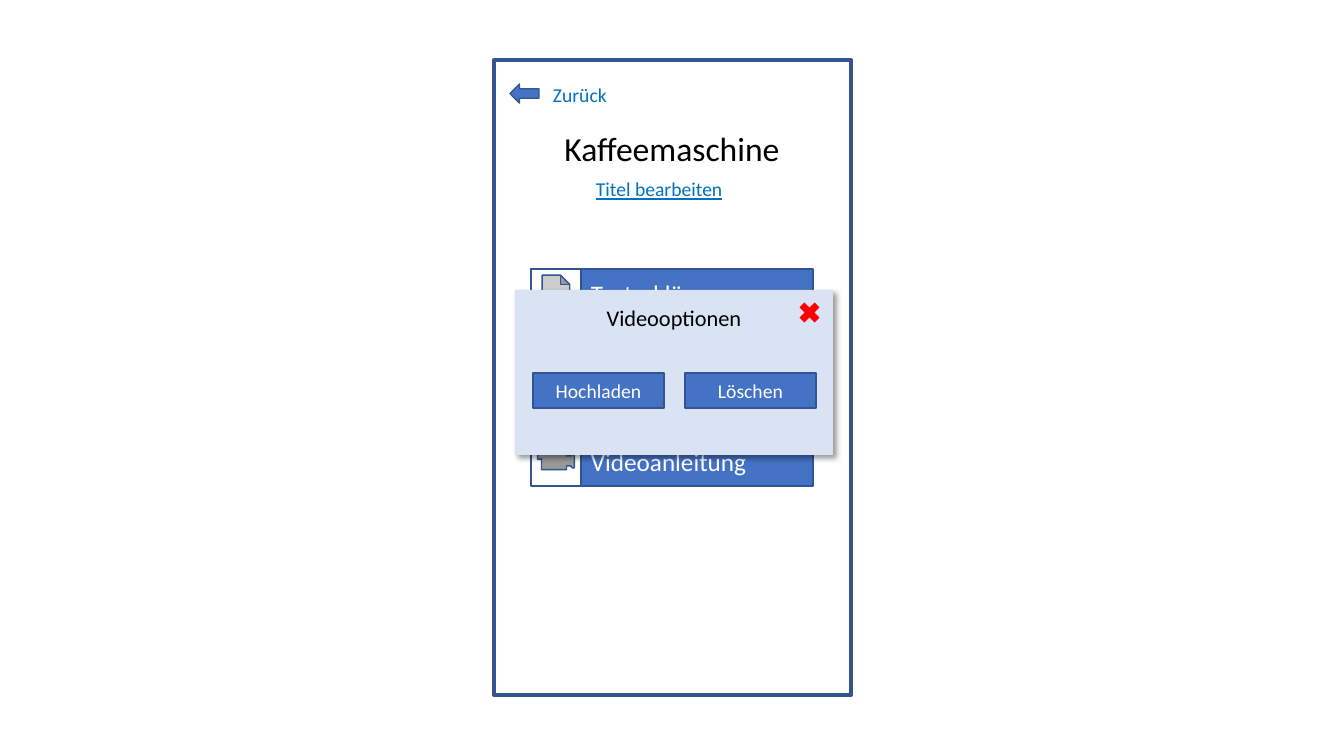
from lxml import etree
from pptx import Presentation
from pptx.dml.color import RGBColor
from pptx.enum.shapes import MSO_SHAPE
from pptx.enum.text import MSO_ANCHOR, PP_ALIGN
from pptx.oxml.ns import qn
from pptx.util import Emu, Pt

RECT = MSO_SHAPE.RECTANGLE
ARROW = MSO_SHAPE.LEFT_ARROW
CROSS = MSO_SHAPE.MATH_MULTIPLY
PAGE = MSO_SHAPE.ACTION_BUTTON_DOCUMENT
FILM = MSO_SHAPE.ACTION_BUTTON_MOVIE
LEFT, CENTER = PP_ALIGN.LEFT, PP_ALIGN.CENTER
MIDDLE = MSO_ANCHOR.MIDDLE

SCALE = 914400 / 100.8
FONT = "Calibri"
COLORS = {
    "blue": "4472C4",
    "edge": "325491",
    "pale": "DAE3F3",
    "link": "0070C0",
    "red": "FF0000",
    "white": "FFFFFF",
    "black": "000000",
}


def px(n):
    return Emu(round(n * SCALE))


def color(name):
    return RGBColor.from_string(COLORS[name])


class Screen:
    def __init__(self, deck):
        self.slide = deck.slides.add_slide(deck.slide_layouts[6])

    def set_text(self, shape, text, size, ink, align, under=None):
        frame = shape.text_frame
        frame.word_wrap = True
        frame.text = text
        para = frame.paragraphs[0]
        para.alignment = align
        font = para.runs[0].font
        font.name, font.size, font.underline = FONT, Pt(size), under
        font.color.rgb = color(ink)

    def shape(self, kind, box, fill=None, width=1):
        shape = self.slide.shapes.add_shape(kind, *map(px, box))
        shape.shadow.inherit = False
        if fill:
            shape.fill.solid()
            shape.fill.fore_color.rgb = color(fill)
        else:
            shape.fill.background()
        if width:
            shape.line.color.rgb = color("edge")
            shape.line.width = Pt(width)
        else:
            shape.line.fill.background()
        return shape

    def button(self, box, text, size, align=CENTER):
        shape = self.shape(RECT, box, "blue")
        shape.text_frame.vertical_anchor = MIDDLE
        self.set_text(shape, text, size, "white", align)

    def label(self, box, text, size, ink, align=LEFT, under=None):
        shape = self.slide.shapes.add_textbox(*map(px, box))
        self.set_text(shape, text, size, ink, align, under)

    def entry(self, top, icon, text):
        self.button((581, top, 232, 49), text, 18, LEFT)
        self.shape(icon, (531, top, 50, 49), "white")

    def panel(self, box):
        shape = self.shape(RECT, box, "pale", 0)
        effects = shape._element.spPr.find(qn("a:effectLst"))
        shade = etree.SubElement(
            effects, qn("a:outerShdw"), blurRad=str(Pt(4)), dist=str(Pt(3)),
            dir=str(45 * 60000), algn="tl", rotWithShape="0")
        tint = etree.SubElement(shade, qn("a:srgbClr"), val=COLORS["black"])
        etree.SubElement(tint, qn("a:alpha"), val="40000")


def main():
    deck = Presentation()
    deck.slide_width, deck.slide_height = px(1344), px(756)
    screen = Screen(deck)

    # Phone frame and menu entries
    screen.shape(RECT, (494, 60, 357, 635), width=3)
    screen.entry(269, PAGE, "Texterklärung")
    screen.entry(437, FILM, "Videoanleitung")

    # Video options dialog
    screen.panel((515, 290, 318, 165))
    screen.label((543, 299, 262, 37), "Videooptionen", 16, "black", CENTER)
    for i, text in enumerate(("Hochladen", "Löschen")):
        screen.button((533 + 152 * i, 373, 131, 35), text, 14)
    screen.shape(CROSS, (795, 298, 29, 29), "red", 0)

    # Heading and navigation
    screen.label((541, 123, 262, 50), "Kaffeemaschine", 24, "black", CENTER)
    screen.label((586, 172, 151, 34), "Titel bearbeiten", 14, "link", under=True)
    screen.shape(ARROW, (510, 84, 29, 19), "blue")
    screen.label((543, 78, 155, 34), "Zurück", 14, "link")

    deck.save("out.pptx")


if __name__ == "__main__":
    main()
